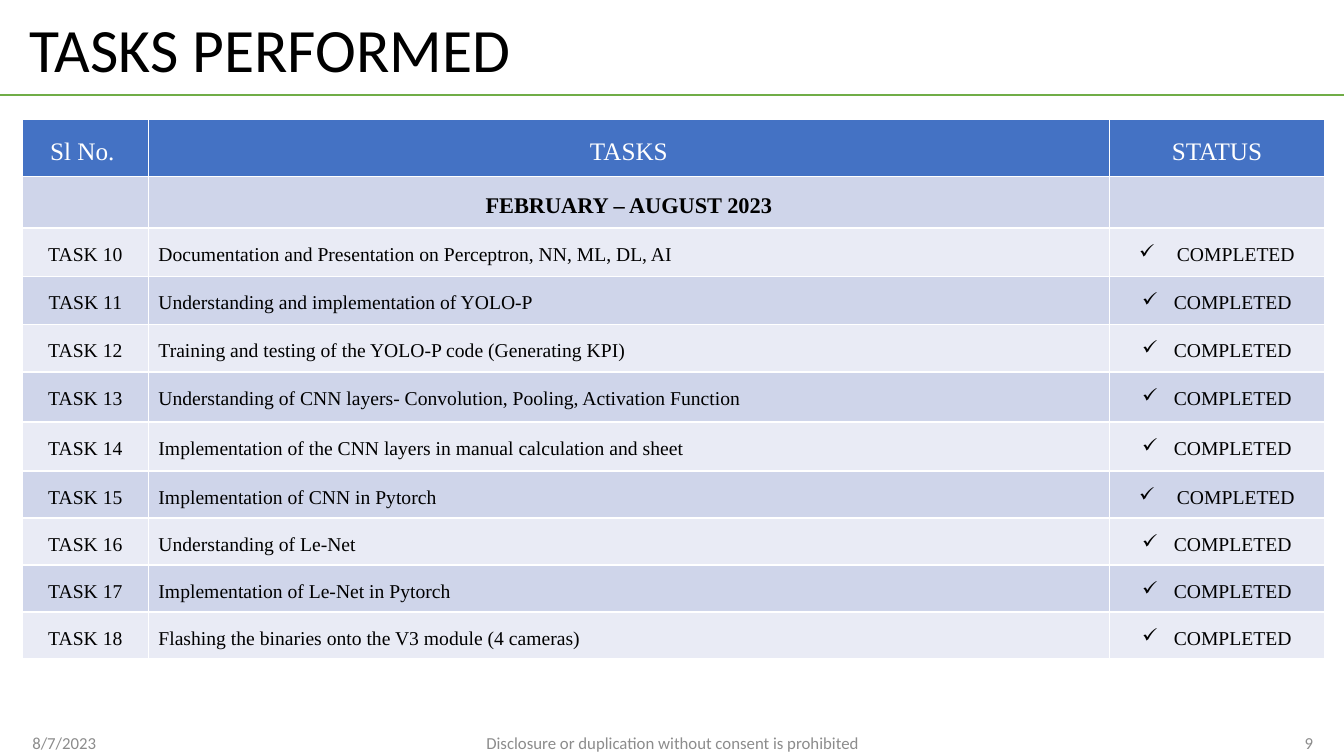
from lxml import etree
from pptx import Presentation
from pptx.dml.color import RGBColor as Color
from pptx.enum.shapes import MSO_CONNECTOR as Link
from pptx.enum.text import MSO_ANCHOR as Anchor, PP_ALIGN as Align
from pptx.oxml.ns import qn
from pptx.util import Pt

COLORS = {"ink": "000000", "gray": "8C8C8C", "white": "FFFFFF", "rule": "70AD47",
          "head": "4472C4", "dark": "CFD5EA", "light": "E9EBF5"}
SERIF = "Times New Roman"
SANS = "Calibri"
WIDE = 960
HIGH = 540

HEADS = ["Sl No. ", "TASKS", "STATUS"]
PERIOD = "FEBRUARY – AUGUST 2023"
STATE = "COMPLETED"
FIRST = 10
TASKS = [
    "Documentation and Presentation on Perceptron, NN, ML, DL, AI",
    "Understanding and implementation of YOLO-P",
    "Training and testing of the YOLO-P code (Generating KPI)",
    "Understanding of CNN layers- Convolution, Pooling, Activation Function",
    "Implementation of the CNN layers in manual calculation and sheet",
    "Implementation of CNN in Pytorch",
    "Understanding of Le-Net",
    "Implementation of Le-Net in Pytorch",
    "Flashing the binaries onto the V3 module (4 cameras)",
]
INDENTS = [27, 22.5, 22.5, 22.5, 22.5, 27, 22.5, 22.5, 22.5]
COLS = [90, 686.4, 153.8]
ROWS = [40.8, 37, 34.8, 34.2, 34, 35.7, 35, 33.6, 33.6, 33.6, 33.6]


def tint(name):
    return Color.from_string(COLORS[name])


def write(para, text, size, color, face, align, bold=False):
    para.alignment = align
    run = para.add_run()
    run.text = text
    font = run.font
    font.size, font.name, font.bold = Pt(size), face, bold
    font.color.rgb = tint(color)


def label(slide, box, text, size, color, align, pad=7.2):
    frame = slide.shapes.add_textbox(*map(Pt, box)).text_frame
    frame.word_wrap = True
    frame.vertical_anchor = Anchor.MIDDLE
    frame.margin_left = frame.margin_right = Pt(pad)
    frame.margin_top = frame.margin_bottom = 0
    para = frame.paragraphs[0]
    write(para, text, size, color, SANS, align)
    return para


def header(slide, box):
    left, top, width, height = box
    para = label(slide, (left + 14, top + 6.5, 786, 62.5),
                 "TASKS PERFORMED", 44, "ink", Align.LEFT)
    para.line_spacing = 0.9
    low = top + height
    rule = slide.shapes.add_connector(
        Link.STRAIGHT, Pt(left), Pt(low), Pt(left + width), Pt(low))
    rule.line.color.rgb = tint("rule")
    rule.line.width = Pt(1.5)
    etree.SubElement(rule._element.spPr, qn("a:effectLst"))


def tick(para, indent):
    props = para._p.get_or_add_pPr()
    props.set("marL", str(Pt(indent)))
    props.set("indent", str(-Pt(indent)))
    etree.SubElement(props, qn("a:buChar"), char="✓")


def fill(cell, color):
    cell.fill.solid()
    cell.fill.fore_color.rgb = tint(color)


def put(cell, text, size, color="ink", align=Align.CENTER, bold=False):
    para = cell.text_frame.paragraphs[0]
    para.line_spacing = 1.5
    write(para, text, size, color, SERIF, align, bold)
    return para


def grid(slide, box):
    table = slide.shapes.add_table(len(ROWS), len(COLS), *map(Pt, box)).table
    for col, width in zip(table.columns, COLS):
        col.width = Pt(width)
    for row, height in zip(table.rows, ROWS):
        row.height = Pt(height)
    for i, row in enumerate(table.rows):
        for cell in row.cells:
            fill(cell, "head" if i == 0 else "dark" if i % 2 else "light")
    for cell, text in zip(table.rows[0].cells, HEADS):
        put(cell, text, 18, "white")
    put(table.cell(1, 1), PERIOD, 16, bold=True)
    for i, (task, indent) in enumerate(zip(TASKS, INDENTS)):
        code, name, state = table.rows[i + 2].cells
        put(code, f"TASK {FIRST + i}", 14)
        put(name, task, 14, align=Align.JUSTIFY)
        tick(put(state, STATE, 14), indent)


def footer(slide, box):
    left, top, width, height = box
    side = 144
    gap = 8
    mid = width - 2 * (side + gap)
    parts = [
        (left, side, "8/7/2023", Align.LEFT),
        (left + side + gap, mid, "Disclosure or duplication without consent is prohibited",
         Align.CENTER),
        (left + width - side, side, "9", Align.RIGHT),
    ]
    for x, wide, text, align in parts:
        label(slide, (x, top, wide, height), text, 12, "gray", align)


def main():
    deck = Presentation()
    deck.slide_width, deck.slide_height = Pt(WIDE), Pt(HIGH)
    slide = deck.slides.add_slide(deck.slide_layouts[6])
    header(slide, (0, 0, WIDE, 68.2))
    grid(slide, (16, 85, sum(COLS), sum(ROWS)))
    footer(slide, (16, 523.5, 929, 14.4))
    deck.save("out.pptx")


if __name__ == "__main__":
    main()
